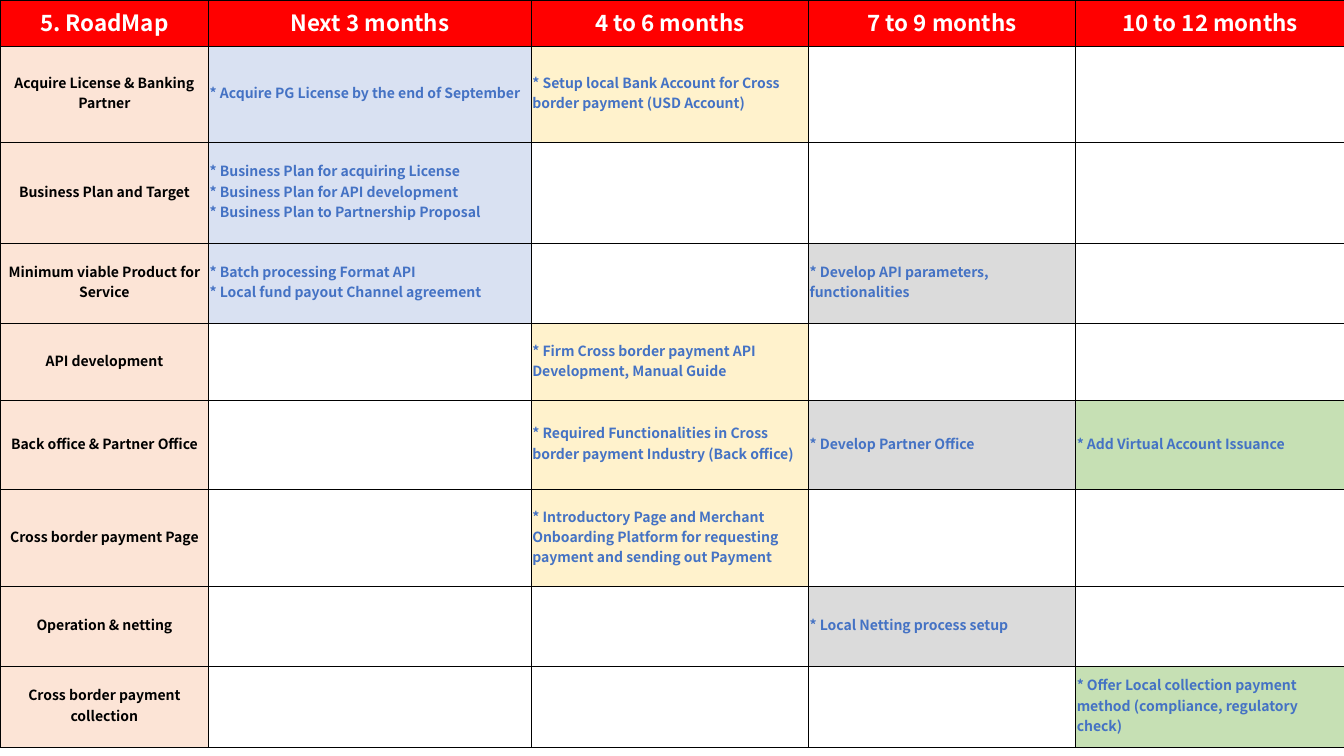
"""Builds a one-slide twelve-month roadmap table."""
from lxml import etree
from pptx import Presentation
from pptx.dml.color import RGBColor
from pptx.enum.text import MSO_ANCHOR, PP_ALIGN
from pptx.oxml.ns import qn
from pptx.util import Inches, Pt

MIDDLE = MSO_ANCHOR.MIDDLE
CENTER, LEFT = PP_ALIGN.CENTER, PP_ALIGN.LEFT

BLACK = RGBColor(0x00, 0x00, 0x00)
WHITE = RGBColor(0xFF, 0xFF, 0xFF)
RED = RGBColor(0xFF, 0x00, 0x00)
PEACH = RGBColor(0xFC, 0xE4, 0xD6)
BLUE = RGBColor(0x44, 0x72, 0xC4)
PERIOD_FILLS = [
    RGBColor(0xD9, 0xE1, 0xF2),
    RGBColor(0xFF, 0xF2, 0xCC),
    RGBColor(0xDB, 0xDB, 0xDB),
    RGBColor(0xC6, 0xE0, 0xB4),
]

COLUMN_WIDTHS = [2.07, 3.2, 2.75, 2.65, 2.67]
ROW_HEIGHTS = [0.46, 0.95, 1, 0.8, 0.76, 0.88, 0.97, 0.79, 0.8]
HEADINGS = ["5. RoadMap", "Next 3 months", "4 to 6 months", "7 to 9 months", "10 to 12 months"]
WORKSTREAMS = [
    ("Acquire License & Banking Partner", {
        1: "* Acquire PG License by the end of September",
        2: "* Setup local Bank Account for Cross border payment (USD Account)"}),
    ("Business Plan and Target", {
        1: "* Business Plan for acquiring License\n"
           "* Business Plan for API development\n"
           "* Business Plan to Partnership Proposal"}),
    ("Minimum viable Product for Service", {
        1: "* Batch processing Format API\n* Local fund payout Channel agreement",
        3: "* Develop API parameters, functionalities"}),
    ("API development", {
        2: "* Firm Cross border payment API Development, Manual Guide"}),
    ("Back office & Partner Office", {
        2: "* Required Functionalities in Cross border payment Industry (Back office)",
        3: "* Develop Partner Office",
        4: "* Add Virtual Account Issuance"}),
    ("Cross border payment Page", {
        2: "* Introductory Page and Merchant Onboarding Platform for requesting "
           "payment and sending out Payment"}),
    ("Operation & netting", {
        3: "* Local Netting process setup"}),
    ("Cross border payment collection", {
        4: "* Offer Local collection payment method (compliance, regulatory check)"}),
]


class RoadmapSlide:
    """Holds the slide and its table style."""

    font_name = "Noto Sans CJK KR"
    border_width = Pt(0.5)

    def __init__(self, presentation):
        self.slide = presentation.slides.add_slide(presentation.slide_layouts[6])

    def grid(self, widths, heights):
        """Adds an unstyled table with ruled cells."""
        table = self.slide.shapes.add_table(
            len(heights), len(widths), 0, 0,
            Inches(sum(widths)), Inches(sum(heights))).table
        table.first_row = table.horz_banding = False
        for column, width in zip(table.columns, widths):
            column.width = Inches(width)
        for row, height in zip(table.rows, heights):
            row.height = Inches(height)
        for cell in table.iter_cells():
            self.rule(cell)
            cell.fill.background()
        return table

    def rule(self, cell):
        """Draws the four borders of a cell."""
        properties = cell._tc.get_or_add_tcPr()
        for side in ("a:lnL", "a:lnR", "a:lnT", "a:lnB"):
            line = etree.SubElement(properties, qn(side), w=str(self.border_width))
            fill = etree.SubElement(line, qn("a:solidFill"))
            etree.SubElement(fill, qn("a:srgbClr"), val=str(BLACK))

    def entry(self, cell, text, fill, color, size=10, align=CENTER):
        """Fills a cell and writes its bold text."""
        cell.fill.solid()
        cell.fill.fore_color.rgb = fill
        cell.vertical_anchor = MIDDLE
        cell.margin_left = cell.margin_right = cell.margin_top = Inches(0.01)
        cell.margin_bottom = Inches(0.04)
        cell.text_frame.text = text
        for paragraph in cell.text_frame.paragraphs:
            paragraph.alignment = align
            paragraph.font.name = self.font_name
            paragraph.font.size = Pt(size)
            paragraph.font.bold = True
            paragraph.font.color.rgb = color


def main():
    """Creates and saves the roadmap."""
    presentation = Presentation()
    presentation.slide_width = Inches(13.33)
    presentation.slide_height = Inches(7.5)
    roadmap = RoadmapSlide(presentation)
    table = roadmap.grid(COLUMN_WIDTHS, ROW_HEIGHTS)
    for column, heading in enumerate(HEADINGS):
        roadmap.entry(table.cell(0, column), heading, RED, WHITE, size=16)
    for row, (workstream, milestones) in enumerate(WORKSTREAMS, start=1):
        roadmap.entry(table.cell(row, 0), workstream, PEACH, BLACK)
        for period, milestone in milestones.items():
            roadmap.entry(table.cell(row, period), milestone,
                          PERIOD_FILLS[period - 1], BLUE, align=LEFT)
    presentation.save("out.pptx")


if __name__ == "__main__":
    main()
